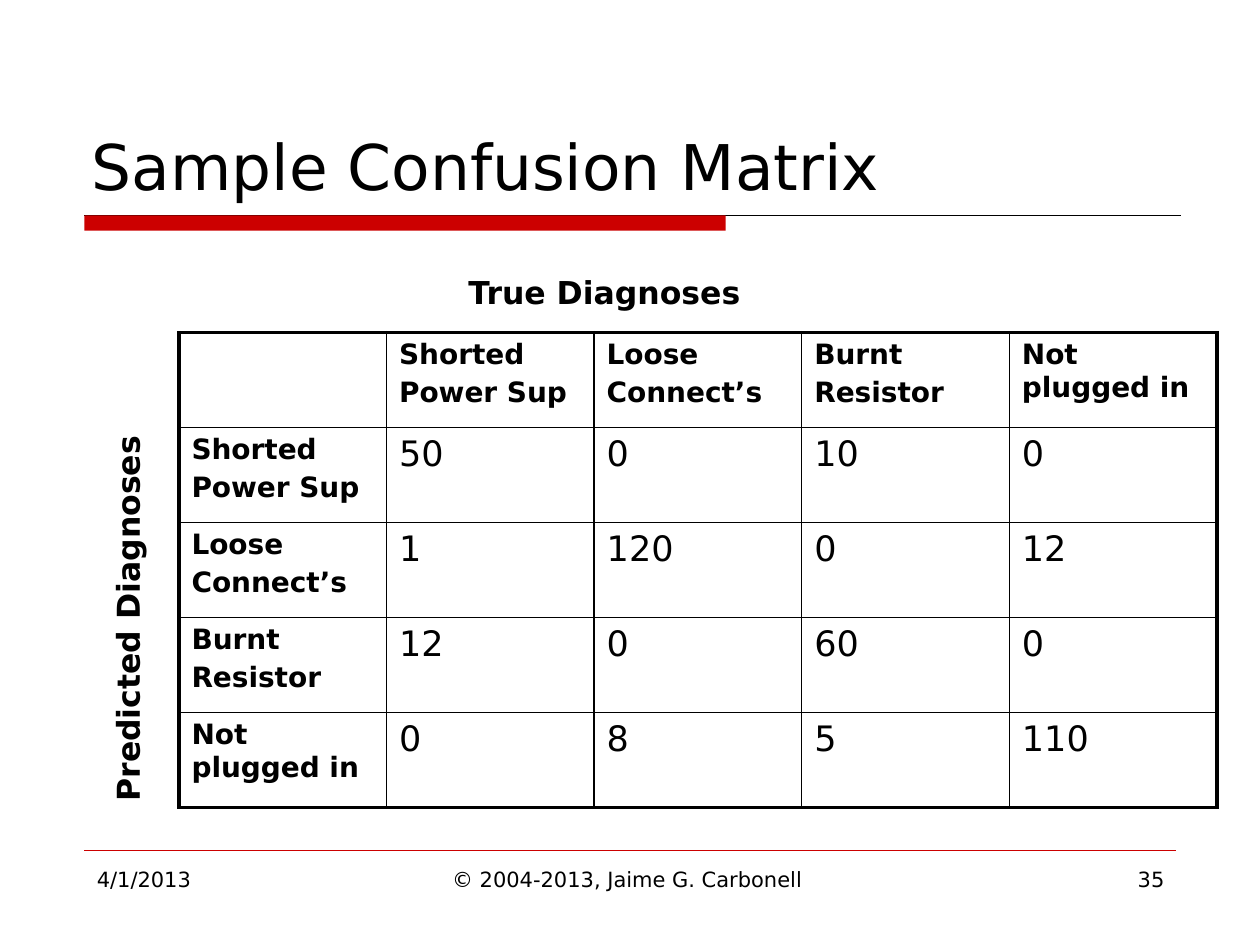
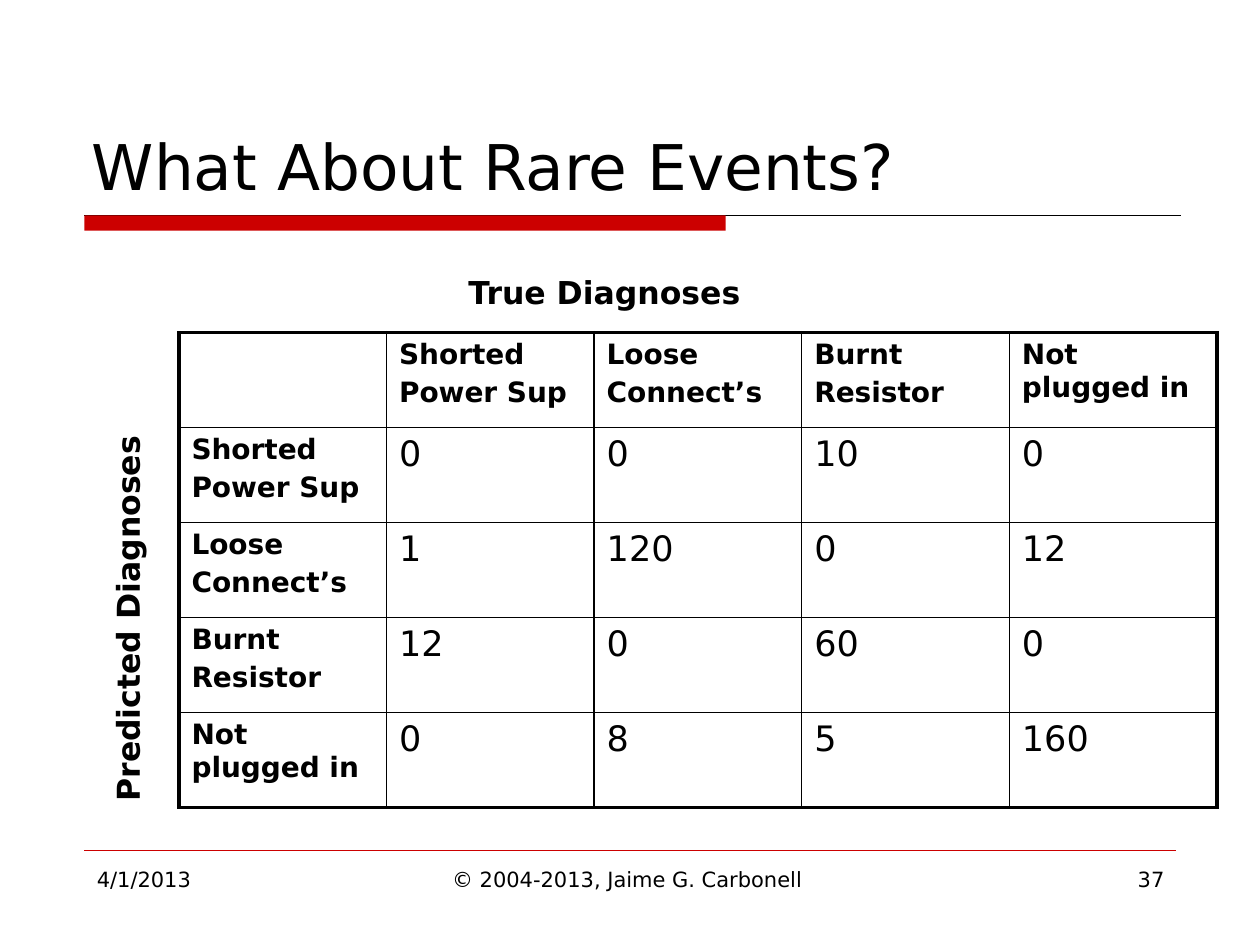
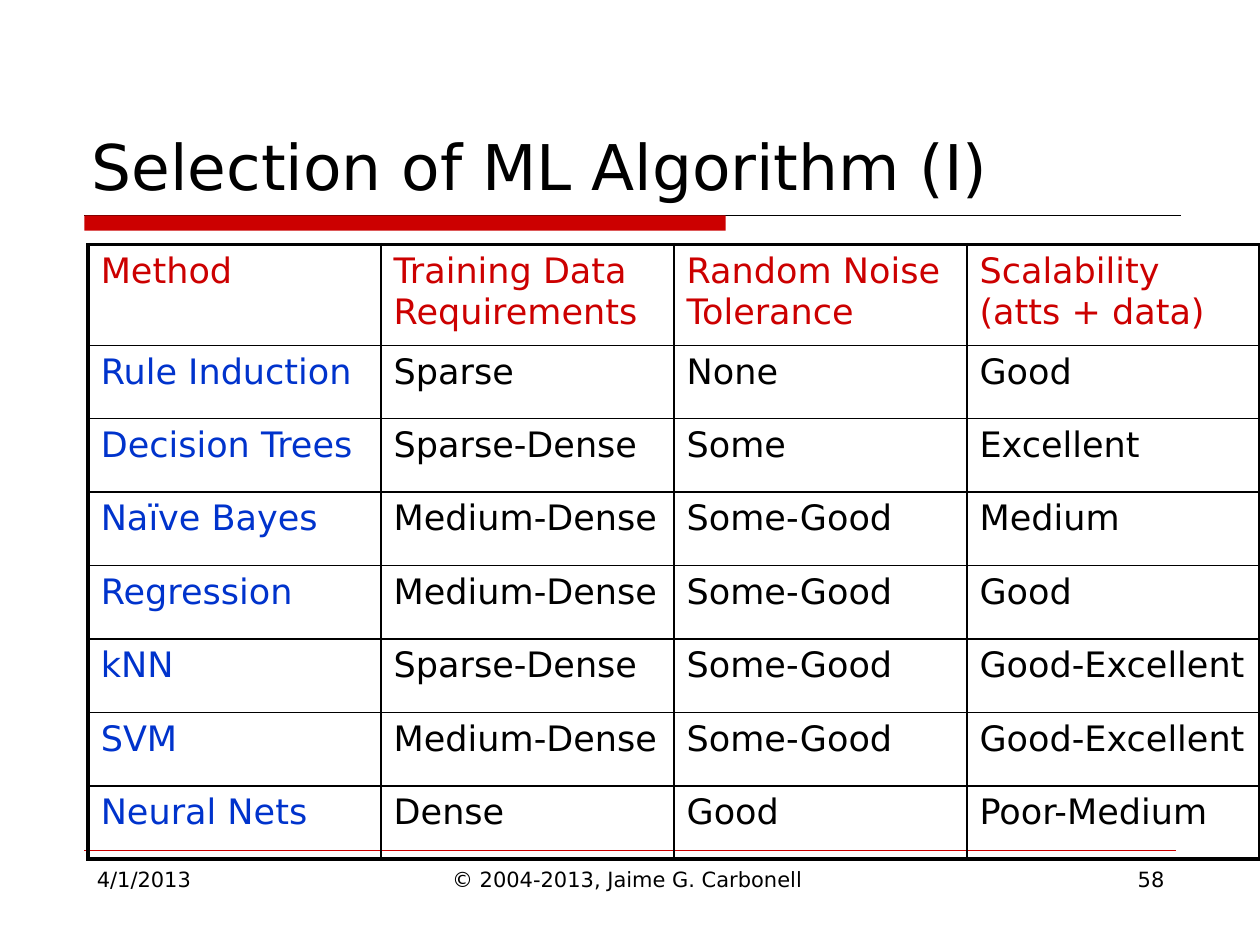
"""Build three slides on diagnosis confusion matrices and choosing an ML algorithm."""

from lxml import etree
from pptx import Presentation
from pptx.dml.color import RGBColor
from pptx.enum.shapes import MSO_CONNECTOR, MSO_SHAPE
from pptx.enum.text import MSO_ANCHOR, MSO_AUTO_SIZE, PP_ALIGN
from pptx.oxml.ns import qn
from pptx.util import Inches, Pt

BLACK = RGBColor(0x00, 0x00, 0x00)
RED = RGBColor(0xCC, 0x00, 0x00)
BLUE = RGBColor(0x00, 0x33, 0xCC)
FONT = "DejaVu Sans"
LEFT, CENTER, RIGHT = PP_ALIGN.LEFT, PP_ALIGN.CENTER, PP_ALIGN.RIGHT
TOP, BOTTOM = MSO_ANCHOR.TOP, MSO_ANCHOR.BOTTOM
FIT_SHAPE = MSO_AUTO_SIZE.SHAPE_TO_FIT_TEXT
STRAIGHT, RECTANGLE = MSO_CONNECTOR.STRAIGHT, MSO_SHAPE.RECTANGLE
OUTER_BORDER, INNER_BORDER = 2.25, 1

DATE = "4/1/2013"
COPYRIGHT = "© 2004-2013, Jaime G. Carbonell "
MARGIN, FOOTER_TOP, FOOTER_HEIGHT = 0.67, 6.83, 0.52

DIAGNOSES = ["Shorted\nPower Sup", "Loose\nConnect’s", "Burnt\nResistor", "Not plugged in"]
MATRICES = [
    ("Sample Confusion Matrix", 35, [
        [50, 0, 10, 0],
        [1, 120, 0, 12],
        [12, 0, 60, 0],
        [0, 8, 5, 110],
    ]),
    ("What About Rare Events?", 37, [
        [0, 0, 10, 0],
        [1, 120, 0, 12],
        [12, 0, 60, 0],
        [0, 8, 5, 160],
    ]),
]
ALGORITHMS = [
    ["Method", "Training Data Requirements", "Random Noise Tolerance", "Scalability (atts + data)"],
    ["Rule Induction", "Sparse", "None", "Good"],
    ["Decision Trees", "Sparse-Dense", "Some", "Excellent"],
    ["Naïve Bayes", "Medium-Dense", "Some-Good", "Medium"],
    ["Regression", "Medium-Dense", "Some-Good", "Good"],
    ["kNN", "Sparse-Dense", "Some-Good", "Good-Excellent"],
    ["SVM", "Medium-Dense", "Some-Good", "Good-Excellent"],
    ["Neural Nets", "Dense", "Good", "Poor-Medium"],
]


def write(frame, text, size, color=BLACK, bold=False, align=LEFT, spacing=0.0):
    frame.text = text
    for paragraph in frame.paragraphs:
        paragraph.alignment = align
        paragraph.space_before = Pt(size * spacing)
        font = paragraph.font
        font.name, font.size, font.bold = FONT, Pt(size), bold
        font.color.rgb = color


def add_text(page, place, text, size, anchor=TOP, **style):
    box = page.shapes.add_textbox(*map(Inches, place))
    box.text_frame.word_wrap = True
    box.text_frame.vertical_anchor = anchor
    write(box.text_frame, text, size, **style)
    return box


def add_rule(page, right, top, color, width):
    ends = map(Inches, (MARGIN, top, right, top))
    rule = page.shapes.add_connector(STRAIGHT, *ends)
    rule.line.color.rgb = color
    rule.line.width = Pt(width)
    etree.SubElement(rule.element.spPr, qn("a:effectLst"))


def add_page(deck, title, number):
    page = deck.slides.add_slide(deck.slide_layouts[6])
    add_rule(page, 9.37, 1.71, BLACK, 0.75)
    band = page.shapes.add_shape(RECTANGLE, *map(Inches, (MARGIN, 1.71, 5.09, 0.12)))
    band.shadow.inherit = False
    band.fill.solid()
    band.fill.fore_color.rgb = RED
    band.line.fill.background()
    add_rule(page, 9.33, 6.75, RED, 0.25)
    for left, width, text, align in (
        (MARGIN, 2.17, DATE, LEFT),
        (3.42, 3.17, COPYRIGHT, CENTER),
        (7.17, 2.17, str(number), RIGHT),
    ):
        add_text(page, (left, FOOTER_TOP, width, FOOTER_HEIGHT), text, 12, align=align)
    add_text(page, (0.63, 0.33, 8.75, 1.33), title, 36, anchor=BOTTOM)
    return page


def set_borders(cell, widths):
    properties = cell._tc.get_or_add_tcPr()
    for side, width in widths.items():
        line = etree.SubElement(properties, qn(f"a:ln{side}"), w=str(Pt(width)))
        fill = etree.SubElement(line, qn("a:solidFill"))
        etree.SubElement(fill, qn("a:srgbClr"), val=str(BLACK))


def add_grid(page, place, rows, heights, cell_style):
    frame = page.shapes.add_table(len(rows), len(rows[0]), *map(Inches, place))
    table = frame.table
    table.first_row = table.horz_banding = False
    for row, height in zip(table.rows, heights):
        row.height = Inches(height)
    last_row, last_column = len(rows) - 1, len(rows[0]) - 1
    for r, values in enumerate(rows):
        for c, value in enumerate(values):
            cell = table.cell(r, c)
            write(cell.text_frame, str(value), spacing=0.2, **cell_style(r, c))
            outer = {"L": c == 0, "R": c == last_column, "T": r == 0, "B": r == last_row}
            set_borders(cell, {side: OUTER_BORDER if edge else INNER_BORDER
                               for side, edge in outer.items()})
            cell.fill.background()


def matrix_style(row, column):
    heading = row == 0 or column == 0
    return {"size": 16 if heading else 20, "bold": heading}


def algorithm_style(row, column):
    return {"size": 20, "color": RED if row == 0 else BLUE if column == 0 else BLACK}


def add_matrix(page, counts):
    rows = [["", *DIAGNOSES]]
    rows += [[name, *values] for name, values in zip(DIAGNOSES, counts)]
    height = 3.77
    add_grid(page, (1.42, 2.64, 8.24, height), rows, [height / len(rows)] * len(rows), matrix_style)
    across = add_text(page, (3.62, 2.12, 5.46, 0.4), "True Diagnoses", 18, bold=True, spacing=0.5)
    down = add_text(page, (0.81, 3.11, 0.5, 3.35), "Predicted Diagnoses", 18, bold=True)
    down.rotation = 180
    down.element.txBody.bodyPr.set("vert", "eaVert")
    for label in (across, down):
        label.text_frame.auto_size = FIT_SHAPE


def main():
    deck = Presentation()
    deck.slide_width, deck.slide_height = Inches(10), Inches(7.5)
    for title, number, counts in MATRICES:
        add_matrix(add_page(deck, title, number), counts)
    page = add_page(deck, "Selection of ML Algorithm (I)", 58)
    height, header = 4.88, 0.8
    methods = len(ALGORITHMS) - 1
    heights = [header] + [(height - header) / methods] * methods
    add_grid(page, (0.7, 1.94, 9.3, height), ALGORITHMS, heights, algorithm_style)
    deck.save("out.pptx")


if __name__ == "__main__":
    main()
